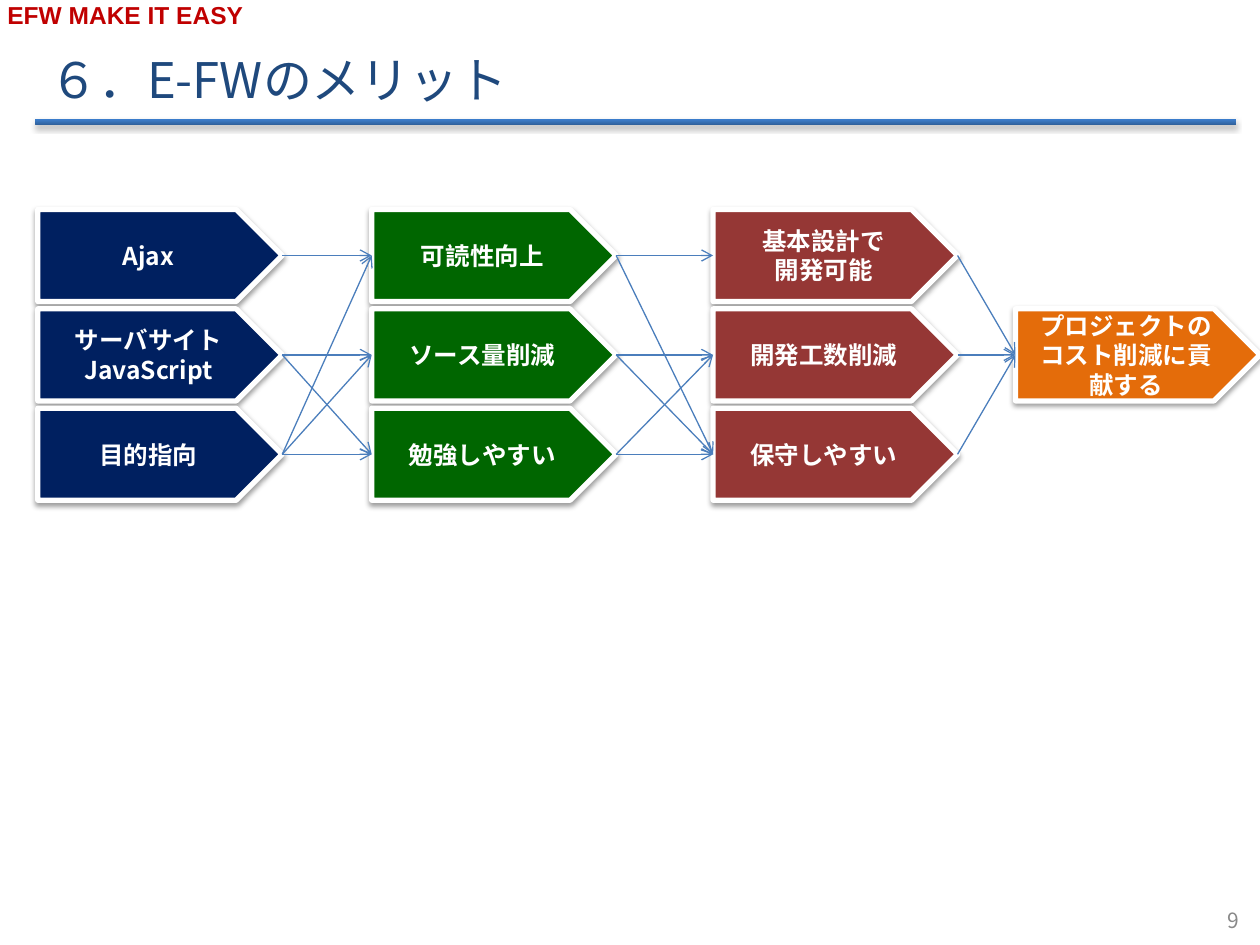
from copy import deepcopy
from lxml.etree import SubElement
from pptx import Presentation
from pptx.dml.color import RGBColor
from pptx.enum.shapes import MSO_CONNECTOR, MSO_SHAPE
from pptx.enum.text import MSO_ANCHOR, MSO_AUTO_SIZE, PP_ALIGN
from pptx.oxml.ns import qn
from pptx.util import Pt


def rgb(value):
    return RGBColor.from_string(value)


def write(tf, text, size=14, color="FFFFFF", bold=False, font="Noto Sans CJK JP",
          align=PP_ALIGN.LEFT, anchor=MSO_ANCHOR.MIDDLE, spacing=None, before=None):
    tf.word_wrap = True
    tf.auto_size = MSO_AUTO_SIZE.NONE
    tf.vertical_anchor = anchor
    for i, line in enumerate(text.split("\n")):
        p = tf.add_paragraph() if i else tf.paragraphs[0]
        p.alignment = align
        if spacing:
            p.line_spacing = spacing
        if before:
            p.space_before = Pt(before)
        r = p.add_run()
        r.text = line
        r.font.size, r.font.bold, r.font.name = Pt(size), bold, font
        r.font.color.rgb = rgb(color)
        SubElement(r.font._element, qn("a:ea"), typeface=font)


class Deck:
    ARROW = "4B7EBC"
    BORDER = "FFFFFF"
    PLATE_W, PLATE_H = 139.7, 52.6
    PLATE_INSET = 11

    def __init__(self):
        self.prs = Presentation()
        self.prs.slide_width, self.prs.slide_height = Pt(720), Pt(540)
        self.s = self.prs.slides.add_slide(self.prs.slide_layouts[5])

    def title(self, text, x, y, w, h, **fmt):
        sp = self.s.shapes.title
        sp.left, sp.top, sp.width, sp.height = Pt(x), Pt(y), Pt(w), Pt(h)
        write(sp.text_frame, text, **fmt)

    def text(self, text, x, y, w, h, **fmt):
        sp = self.s.shapes.add_textbox(Pt(x), Pt(y), Pt(w), Pt(h))
        write(sp.text_frame, text, **fmt)

    def shape(self, kind, x, y, w, h, dist, opacity):
        sp = self.s.shapes.add_shape(kind, Pt(x), Pt(y), Pt(w), Pt(h))
        sp.shadow.inherit = False
        effects = sp._element.spPr.find(qn("a:effectLst"))
        shadow = SubElement(effects, qn("a:outerShdw"), blurRad=str(Pt(3.1)),
                            dist=str(Pt(dist)), dir="5400000", rotWithShape="0")
        black = SubElement(shadow, qn("a:srgbClr"), val="000000")
        SubElement(black, qn("a:alpha"), val=str(opacity * 1000))
        return sp

    def bar(self, x, y, w, h, stops):
        sp = self.shape(MSO_SHAPE.ROUNDED_RECTANGLE, x, y, w, h, 1.8, 35)
        sp.line.fill.background()
        sp.fill.gradient()
        sp.fill.gradient_angle = 90
        gs_list = sp._element.spPr.find(".//" + qn("a:gsLst"))
        gs_list.append(deepcopy(gs_list[-1]))
        for stop, (position, color) in zip(sp.fill.gradient_stops, stops):
            stop.position = position
            stop.color.rgb = rgb(color)

    def plate(self, text, x, y, color):
        sp = self.shape(MSO_SHAPE.PENTAGON, x, y, self.PLATE_W, self.PLATE_H, 1.6, 38)
        sp.fill.solid()
        sp.fill.fore_color.rgb = rgb(color)
        sp.line.color.rgb = rgb(self.BORDER)
        sp.line.width = Pt(3)
        tf = sp.text_frame
        tf.margin_left = tf.margin_right = Pt(self.PLATE_INSET)
        tf.margin_top = tf.margin_bottom = Pt(0)
        write(tf, text, bold=True, align=PP_ALIGN.CENTER)
        return sp

    def arrow(self, start, end):
        c = self.s.shapes.add_connector(MSO_CONNECTOR.STRAIGHT, 0, 0, 0, 0)
        c.begin_connect(start, 3)
        c.end_connect(end, 1)
        c.line.color.rgb = rgb(self.ARROW)
        c.line.width = Pt(0.75)
        SubElement(c.line._get_or_add_ln(), qn("a:tailEnd"), type="arrow")
        SubElement(c._element.spPr, qn("a:effectLst"))


deck = Deck()
deck.bar(20.2, 67.9, 686, 3.6, [(0, "2F5F99"), (0.8, "3D7CC7"), (1, "3A7CCB")])
deck.text("EFW MAKE IT EASY", -2.9, -3.6, 255, 24.5, color="C00000", bold=True,
          font="Arial", anchor=MSO_ANCHOR.TOP)
deck.text("9", 547.2, 511.2, 167.8, 28.8, size=12, color="898989", align=PP_ALIGN.RIGHT)
deck.title("６．E-FWのメリット", 20.9, 21.6, 648, 43.9, size=28, color="1F497D",
           spacing=1.1, before=7)

TOP, PITCH = 119.7, 56.8
columns = [
    (21.6, "002060", 0, ["Ajax", "サーバサイトJavaScript", "目的指向"]),
    (212.4, "006600", 0, ["可読性向上", "ソース量削減", "勉強しやすい"]),
    (407.5, "953735", 0, ["基本設計で\n開発可能", "開発工数削減", "保守しやすい"]),
    (580.3, "E46C0A", 1, ["プロジェクトのコスト削減に貢献する"]),
]
plates = [
    [deck.plate(text, x, TOP + PITCH * (first + i), color) for i, text in enumerate(texts)]
    for x, color, first, texts in columns
]

links = [
    [(0, 0), (2, 0), (1, 1), (1, 2), (2, 2), (2, 1)],
    [(0, 0), (1, 1), (2, 1), (2, 2), (0, 2), (1, 2)],
    [(0, 0), (1, 0), (2, 0)],
]
for sources, targets, pairs in zip(plates, plates[1:], links):
    for a, b in pairs:
        deck.arrow(sources[a], targets[b])

deck.prs.save("out.pptx")
